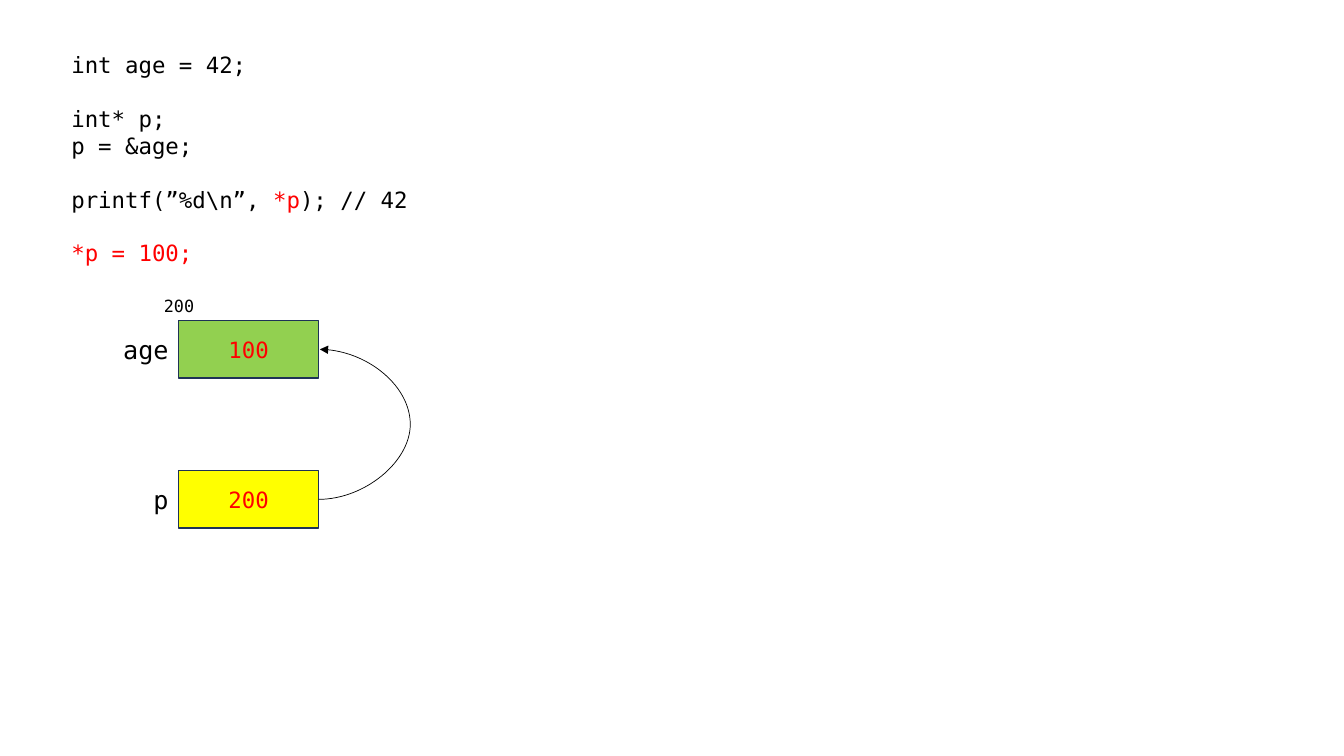
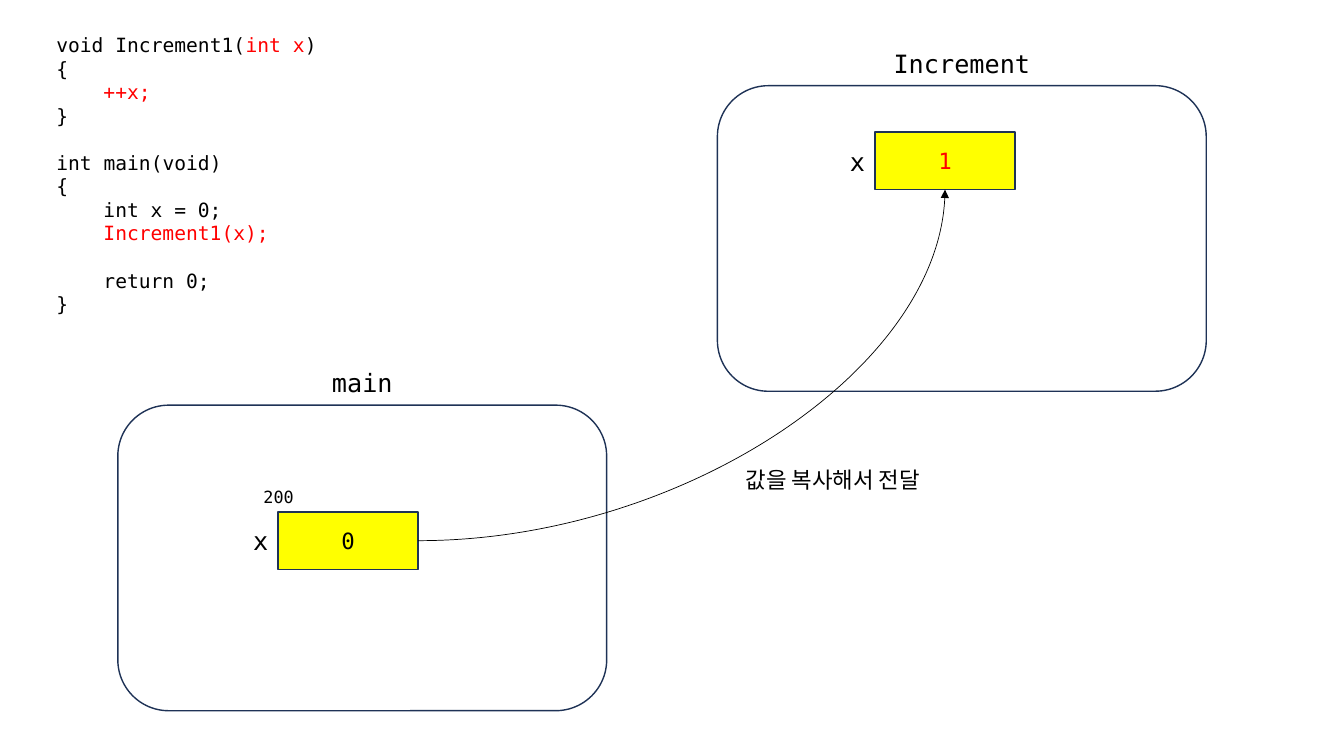
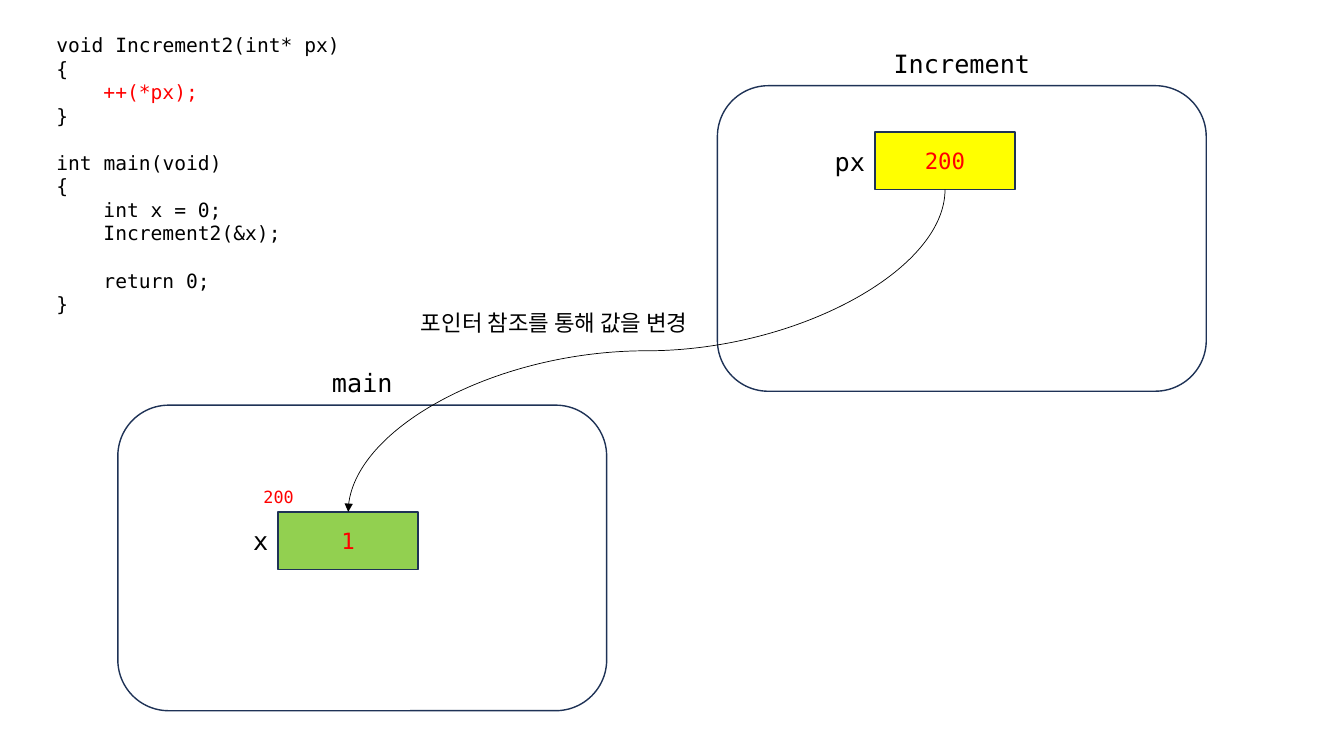
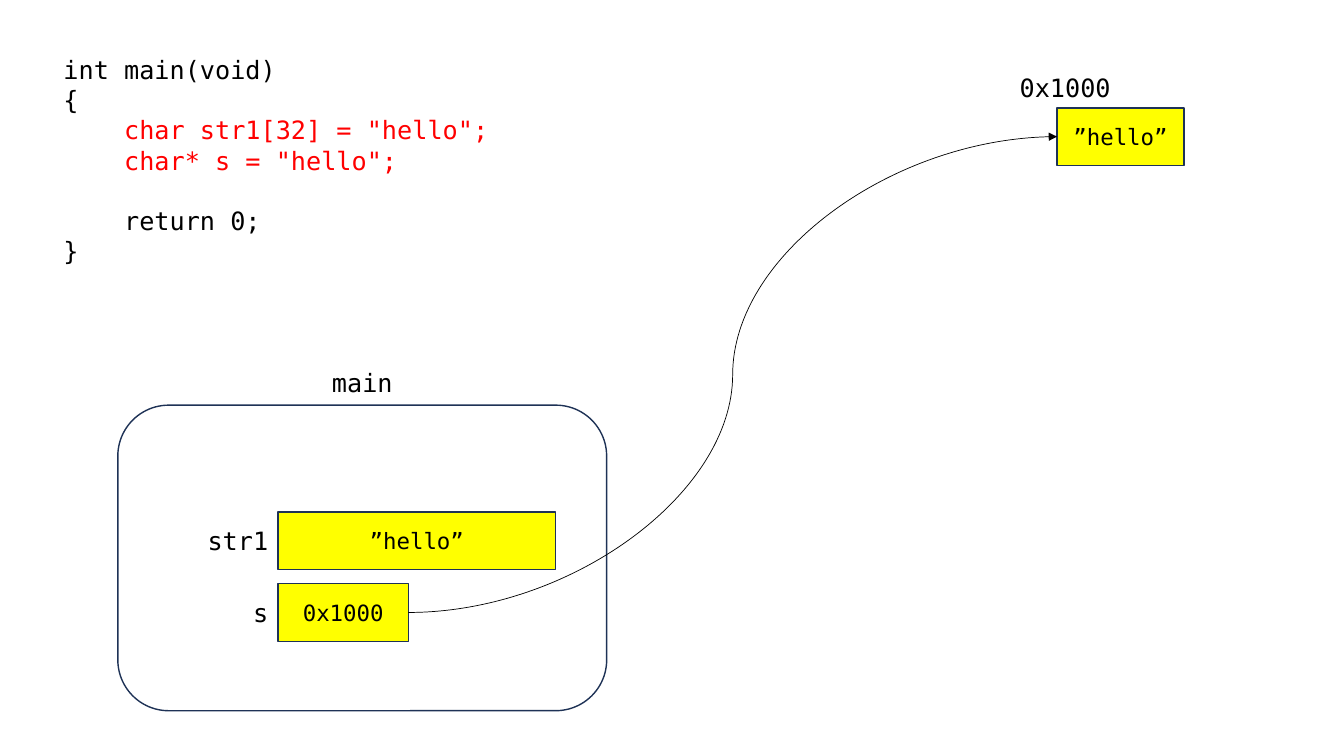
from dataclasses import dataclass

from pptx import Presentation
from pptx.dml.color import RGBColor
from pptx.enum.shapes import MSO_CONNECTOR, MSO_SHAPE
from pptx.enum.text import MSO_ANCHOR, PP_ALIGN
from pptx.oxml.ns import qn
from pptx.util import Cm, Pt
from lxml.etree import SubElement


@dataclass(frozen=True)
class Theme:
    black: str = "000000"
    red: str = "FF0000"
    white: str = "FFFFFF"
    yellow: str = "FFFF00"
    green: str = "92D050"
    outline: str = "1E3256"
    mono: str = "DejaVu Sans Mono"
    korean: str = "Noto Sans CJK KR"
    name_size: int = 18
    value_size: int = 16
    address_size: int = 12
    line_pitch: float = 1.2      # code line height, in type sizes
    char_width: float = 0.602    # monospaced advance, in type sizes


THEME = Theme()
TOP, LEFT, BOTTOM, RIGHT = range(4)  # connection sites of a rectangle

# Sizes in centimetres
CELL_WIDTH, CELL_HEIGHT = 3.53, 1.45
FRAME_WIDTH, FRAME_HEIGHT = 12.32, 7.7
LABEL_HEIGHT = 1.02

MAIN = ("main", 2.97, 10.21)
INCREMENT = ("Increment", 18.08, 2.16)
LOCAL = dict(left=7.01, top=12.9)
ARGUMENT = dict(left=22.05, top=3.33)

# Content: text between | marks is red; code is (left, top, size, lines)
SLIDES = [
    dict(
        code=(1.55, 1.17, 16, r"""int age = 42;

int* p;
p = &age;

printf(”%d\n”, |*p|); // 42

|*p = 100;|"""),
        cells=[
            dict(name="age", value="|100|", left=4.5, top=8.08, fill=THEME.green, address="200"),
            dict(name="p", value="|200|", left=4.5, top=11.86),
        ],
        arrow=dict(start=(1, RIGHT), end=(0, RIGHT), bulge=2.31),
    ),
    dict(
        frames=[MAIN, INCREMENT],
        code=(1.17, 0.71, 14, """void Increment1(|int x|)
{
    |++x;|
}

int main(void)
{
    int x = 0;
    |Increment1(x);|

    return 0;
}"""),
        cells=[
            dict(name="x", value="0", address="200", **LOCAL),
            dict(name="x", value="|1|", **ARGUMENT),
        ],
        arrow=dict(start=(0, RIGHT), end=(1, BOTTOM)),
        remark=("값을 복사해서 전달", 18.54, 11.63),
    ),
    dict(
        frames=[MAIN, INCREMENT],
        code=(1.17, 0.71, 14, """void Increment2(int* px)
{
    |++(*px);|
}

int main(void)
{
    int x = 0;
    Increment2(&x);

    return 0;
}"""),
        cells=[
            dict(name="x", value="|1|", fill=THEME.green, address="|200|", **LOCAL),
            dict(name="px", value="|200|", **ARGUMENT),
        ],
        arrow=dict(start=(1, BOTTOM), end=(0, TOP)),
        remark=("포인터 참조를 통해 값을 변경", 10.36, 7.67),
    ),
    dict(
        frames=[MAIN],
        code=(1.35, 1.24, 18, """int main(void)
{
    |char str1[32] = "hello";|
    |char* s = "hello";|

    return 0;
}"""),
        cells=[
            dict(name="str1", value="”hello”", width=6.99, **LOCAL),
            dict(name="s", value="0x1000", left=7.01, top=14.71, width=3.28),
            dict(value="”hello”", left=26.64, top=2.72, width=3.2, heading="0x1000"),
        ],
        arrow=dict(start=(1, RIGHT), end=(2, LEFT)),
    ),
]


# Text
def write(paragraph, marked, size, align=PP_ALIGN.LEFT, face=THEME.mono):
    paragraph.alignment = align
    font = paragraph.font
    font.size, font.name = Pt(size), face
    pieces = [(text, THEME.red if i % 2 else THEME.black)
              for i, text in enumerate(marked.split("|")) if text]
    font.color.rgb = RGBColor.from_string(pieces[0][1])
    for text, color in pieces:
        run = paragraph.add_run()
        run.text = text
        if color != pieces[0][1]:
            run.font.color.rgb = RGBColor.from_string(color)
    if face == THEME.korean:
        SubElement(font._element, qn("a:ea")).set("typeface", face)


def add_text_frame(slide, left, top, width, height):
    frame = slide.shapes.add_textbox(Cm(left), Cm(top), Cm(width), Cm(height)).text_frame
    frame.word_wrap = True
    return frame


def add_label(slide, text, left, top, width, size=THEME.name_size, height=LABEL_HEIGHT, **style):
    frame = add_text_frame(slide, left, top, width, height)
    write(frame.paragraphs[0], text, size, **style)


def add_code(slide, left, top, size, source):
    lines = source.split("\n")
    pitch = size * THEME.line_pitch
    frame = add_text_frame(slide, left, top, 16.94, len(lines) * pitch / 72 * 2.54 + 0.25)
    paragraph, gap = frame.paragraphs[0], 0
    for number, line in enumerate(lines):
        if not line:
            gap += pitch
            continue
        if number:
            paragraph = frame.add_paragraph()
        statement = line.lstrip()
        write(paragraph, statement, size)
        paragraph.line_spacing, paragraph.space_before = Pt(pitch), Pt(gap)
        indent = Pt((len(line) - len(statement)) * THEME.char_width * size)
        paragraph._p.get_or_add_pPr().set("marL", str(indent))
        gap = 0


# Boxes
def add_box(slide, preset, left, top, width, height, fill):
    box = slide.shapes.add_shape(preset, Cm(left), Cm(top), Cm(width), Cm(height))
    box.shadow.inherit = False
    box.fill.solid()
    box.fill.fore_color.rgb = RGBColor.from_string(fill)
    box.line.color.rgb = RGBColor.from_string(THEME.outline)
    box.line.width = Pt(1)
    return box


def add_frame(slide, title, left, top):
    add_box(slide, MSO_SHAPE.ROUNDED_RECTANGLE, left, top, FRAME_WIDTH, FRAME_HEIGHT, THEME.white)
    add_label(slide, title, left, top - 1.07, FRAME_WIDTH, align=PP_ALIGN.CENTER)


def add_cell(slide, value, left, top, width=CELL_WIDTH, fill=THEME.yellow,
             name=None, address=None, heading=None):
    cell = add_box(slide, MSO_SHAPE.RECTANGLE, left, top, width, CELL_HEIGHT, fill)
    cell.text_frame.vertical_anchor = MSO_ANCHOR.MIDDLE
    write(cell.text_frame.paragraphs[0], value, THEME.value_size, PP_ALIGN.CENTER)
    if name:
        add_label(slide, name, left - 2.03, top + 0.22, 2.03, align=PP_ALIGN.RIGHT)
    if address:
        add_label(slide, address, left - 0.62, top - 0.76, 1.98, THEME.address_size, 0.76)
    if heading:
        add_label(slide, heading, left - 1.78, top - LABEL_HEIGHT, 3.38, align=PP_ALIGN.RIGHT)
    return cell


# Arrow between two cells
def add_arrow(slide, cells, start, end, bulge=None):
    arrow = slide.shapes.add_connector(MSO_CONNECTOR.CURVE, 0, 0, 0, 0)
    (first, start_site), (last, end_site) = start, end
    arrow.begin_connect(cells[first], start_site)
    arrow.end_connect(cells[last], end_site)
    arrow.line.color.rgb = RGBColor.from_string(THEME.black)
    arrow.line.width = Pt(0.5)
    properties = arrow._element.spPr
    SubElement(arrow.line._get_or_add_ln(), qn("a:tailEnd")).set("type", "triangle")
    SubElement(properties, qn("a:effectLst"))

    geometry = properties.find(qn("a:prstGeom"))
    if start_site == RIGHT and end_site == BOTTOM:
        geometry.set("prst", "curvedConnector2")
    elif start_site == BOTTOM:
        # Leave downwards: a quarter turn of the sideways curve
        middle_x = arrow.left + arrow.width // 2
        middle_y = arrow.top + arrow.height // 2
        arrow.width, arrow.height = arrow.height, arrow.width
        arrow.left = middle_x - arrow.width // 2
        arrow.top = middle_y - arrow.height // 2
        transform = properties.find(qn("a:xfrm"))
        transform.attrib.pop("flipH", None)
        transform.set("rot", "5400000")
    if bulge:
        # The bulge is a share of the width, which must not be zero
        arrow.end_x += Cm(0.03)
        adjustments = geometry.find(qn("a:avLst"))
        if adjustments is None:
            adjustments = SubElement(geometry, qn("a:avLst"))
        guide = SubElement(adjustments, qn("a:gd"))
        guide.set("name", "adj1")
        guide.set("fmla", f"val {round(Cm(bulge) / arrow.width * 100000)}")


def build_slide(deck, content):
    slide = deck.slides.add_slide(deck.slide_layouts[6])
    for frame in content.get("frames", []):
        add_frame(slide, *frame)
    add_code(slide, *content["code"])
    cells = [add_cell(slide, **cell) for cell in content["cells"]]
    add_arrow(slide, cells, **content["arrow"])
    if "remark" in content:
        text, left, top = content["remark"]
        add_label(slide, text, left, top, 8.31, THEME.value_size, face=THEME.korean)


def main():
    deck = Presentation()
    deck.slide_width, deck.slide_height = Cm(33.87), Cm(19.05)
    for content in SLIDES:
        build_slide(deck, content)
    deck.save("out.pptx")


if __name__ == "__main__":
    main()
